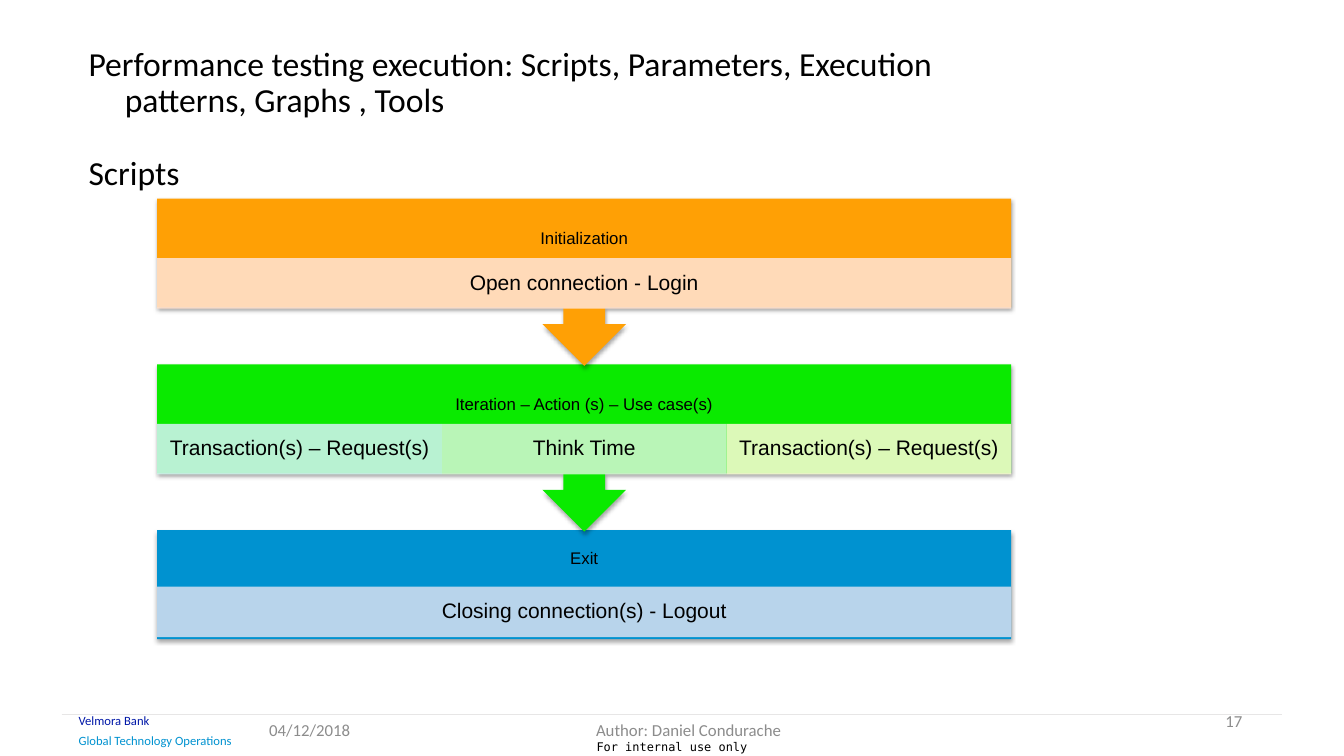
from lxml import etree
from pptx import Presentation
from pptx.dml.color import RGBColor
from pptx.enum.shapes import MSO_CONNECTOR, MSO_SHAPE
from pptx.enum.text import MSO_ANCHOR, PP_ALIGN
from pptx.oxml.ns import qn
from pptx.util import Inches, Pt

RECTANGLE, CALLOUT = MSO_SHAPE.RECTANGLE, MSO_SHAPE.DOWN_ARROW_CALLOUT
STRAIGHT = MSO_CONNECTOR.STRAIGHT
LEFT, CENTER, RIGHT = PP_ALIGN.LEFT, PP_ALIGN.CENTER, PP_ALIGN.RIGHT
TOP, MIDDLE = MSO_ANCHOR.TOP, MSO_ANCHOR.MIDDLE

THEME = {
    "title": ("Calibri", 24, "000000"),
    "heading": ("Arial", 12, "000000"),
    "step": ("Arial", 15, "000000"),
    "footer": ("Calibri", 12, "8C8C8C"),
    "bank": ("Calibri", 9, "0018A8"),
    "unit": ("Calibri", 9, "0092D0"),
    "notice": ("DejaVu Sans Mono", 8.5, "000000"),
    "rule": "E7E6E6",
    "exit": "0092D0",
    "iteration": "0AEA00",
    "initialization": "FFA005",
    "shadow": "000000",
}

presentation = Presentation()
presentation.slide_width, presentation.slide_height = Inches(13.33), Inches(7.5)
slide = presentation.slides.add_slide(presentation.slide_layouts[6])
shapes = slide.shapes
COLUMN, ROW = presentation.slide_width / 100, presentation.slide_height / 100


def place(left, top, width, height):
    return round(left * COLUMN), round(top * ROW), round(width * COLUMN), round(height * ROW)


def write(shape, text, style, align=CENTER, anchor=MIDDLE, inset=0, spacing=None):
    font_name, size, color = THEME[style]
    frame = shape.text_frame
    frame.word_wrap = True
    frame.vertical_anchor = anchor
    frame.margin_left = frame.margin_right = Inches(inset)
    frame.margin_top = frame.margin_bottom = Inches(inset / 2)
    frame.text = text
    for paragraph in frame.paragraphs:
        paragraph.alignment = align
        paragraph.line_spacing = spacing
        for run in paragraph.runs:
            run.font.name, run.font.size = font_name, Pt(size)
            run.font.color.rgb = RGBColor.from_string(color)


rule = shapes.add_connector(
    STRAIGHT, round(4.58 * COLUMN), round(94.53 * ROW), round(95.42 * COLUMN), round(94.53 * ROW)
)
rule.line.color.rgb = RGBColor.from_string(THEME["rule"])
rule.line.width = Pt(0.75)
etree.SubElement(rule._element.spPr, qn("a:effectLst"))

title = shapes.add_textbox(*place(5.85, 5.6, 69.39, 7.87))
write(
    title,
    "Performance testing execution: Scripts, Parameters, Execution patterns, Graphs , Tools\nScripts",
    "title", LEFT, TOP, 0.1, 0.9,
)
for paragraph in title.text_frame.paragraphs:
    properties = paragraph._p.get_or_add_pPr()
    properties.set("marL", str(Inches(0.36)))
    properties.set("indent", str(-Inches(0.36)))
title.text_frame.paragraphs[1].space_before = Pt(26.4)

STAGE_LEFT, STAGE_WIDTH, STAGE_TOP, STAGE_PITCH = 11.7, 63.54, 26.27, 21.93
CALLOUT_HEIGHT, BOX_HEIGHT, STEP_HEIGHT = 22.13, 14.4, 6.67

stages = [
    ("exit", "Exit", RECTANGLE, BOX_HEIGHT, (0, 7.73), 7.47,
     [("Closing connection(s) - Logout", "CCDCEE")]),
    ("iteration", "Iteration – Action (s) – Use case(s)", CALLOUT, CALLOUT_HEIGHT, (2.8, 5.07), 7.87,
     [("Transaction(s) – Request(s)", "CBF3E9"), ("Think Time", "CDF7CB"),
      ("Transaction(s) – Request(s)", "F3FBCC")]),
    ("initialization", "Initialization", CALLOUT, CALLOUT_HEIGHT, (2.8, 5.07), 7.87,
     [("Open connection - Login", "FFE1CC")]),
]
for index, (name, heading, outline, height, (heading_top, heading_height), step_top, steps) in enumerate(stages):
    top = STAGE_TOP + (len(stages) - 1 - index) * STAGE_PITCH
    stage = shapes.add_shape(outline, *place(STAGE_LEFT, top, STAGE_WIDTH, height))
    stage.fill.solid()
    stage.fill.fore_color.rgb = RGBColor.from_string(THEME[name])
    stage.line.fill.background()
    stage.shadow.inherit = False
    effects = stage._element.spPr.find(qn("a:effectLst"))
    shadow = etree.SubElement(
        effects, qn("a:outerShdw"), blurRad=str(Pt(3.1)), dist=str(Pt(1.8)), dir="5400000", rotWithShape="0"
    )
    shadow_color = etree.SubElement(shadow, qn("a:srgbClr"), val=THEME["shadow"])
    etree.SubElement(shadow_color, qn("a:alpha"), val="35000")

    label = shapes.add_textbox(*place(STAGE_LEFT, top + heading_top, STAGE_WIDTH, heading_height))
    write(label, heading, "heading", spacing=0.9)

    step_width = STAGE_WIDTH / len(steps)
    for position, (text, color) in enumerate(steps):
        step = shapes.add_shape(
            RECTANGLE, *place(STAGE_LEFT + position * step_width, top + step_top, step_width, STEP_HEIGHT)
        )
        step.fill.solid()
        step.fill.fore_color.rgb = RGBColor.from_string(color)
        fill_color = step._element.spPr.find(qn("a:solidFill")).find(qn("a:srgbClr"))
        etree.SubElement(fill_color, qn("a:alpha"), val="90000")
        step.line.fill.background()
        step.shadow.inherit = False
        write(step, text, "step", inset=0.04, spacing=0.9)

footers = [
    ("For internal use only", "notice", (0, 97.2, 100, 3.33), CENTER, TOP, 0.1),
    ("Velmora Bank", "bank", (5.85, 94.27, 12, 2), LEFT, TOP, 0),
    ("Global Technology Operations", "unit", (5.85, 96.93, 14, 2), LEFT, TOP, 0),
    ("04/12/2018", "footer", (19.28, 93.87, 10.43, 5.33), LEFT, MIDDLE, 0.1),
    ("Author: Daniel Condurache", "footer", (34.36, 93.87, 33.76, 5.33), CENTER, MIDDLE, 0.1),
    ("17", "footer", (70.67, 92.67, 22.5, 5.33), RIGHT, MIDDLE, 0.1),
]
for text, style, area, align, anchor, inset in footers:
    write(shapes.add_textbox(*place(*area)), text, style, align, anchor, inset)

presentation.save("out.pptx")
